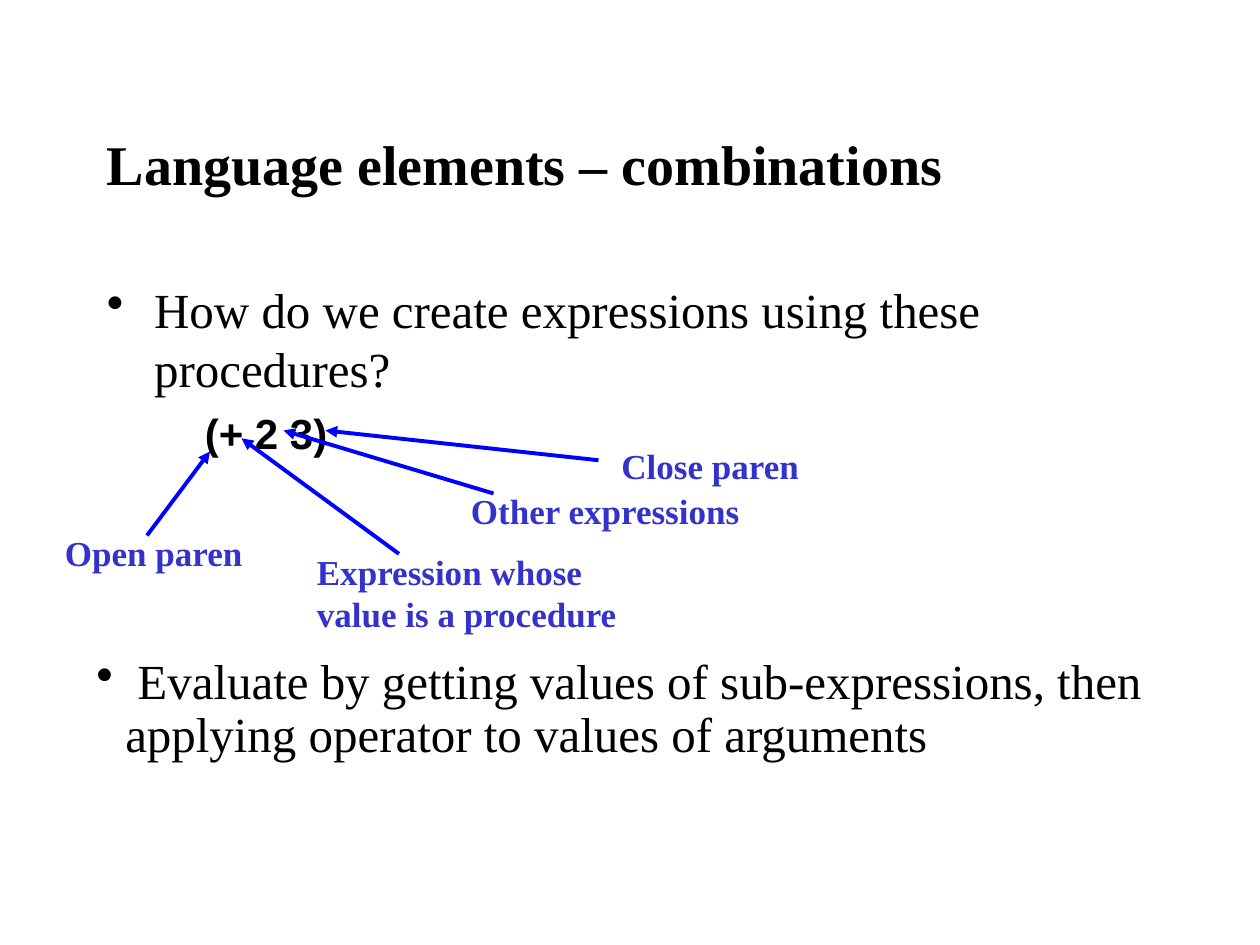
from typing import NamedTuple, Optional

from lxml import etree
from pptx import Presentation
from pptx.dml.color import RGBColor
from pptx.enum import shapes, text
from pptx.oxml import ns
from pptx.util import Pt

SERIF, SANS = "Times New Roman", "Arial"
BLACK, LABEL_BLUE, ARROW_BLUE = "000000", "3333CC", "0000FF"


class Box(NamedTuple):
    left: float
    top: float
    width: float
    height: float


class Style(NamedTuple):
    size: float
    font: str = SERIF
    color: str = BLACK
    bold: bool = False


class Line(NamedTuple):
    wording: str
    style: Style
    margin: float = 0
    indent: float = 0
    bullet: Optional[str] = None
    level: int = 0
    space_before: float = 0
    spacing: Optional[float] = None


class Callout(NamedTuple):
    wording: str
    box: Box
    start: tuple[float, float]
    tip: tuple[float, float]


TITLE = Style(32, bold=True)
BODY = Style(28)
CODE = Style(24, font=SANS, bold=True)
LABEL = Style(20, color=LABEL_BLUE, bold=True)

CALLOUTS = [
    Callout("Open paren", Box(30, 300, 132, 31.5), (84, 306), (120, 258)),
    Callout("Expression whose value is a procedure", Box(174, 311, 198, 55.5),
            (228, 316.5), (138, 250.5)),
    Callout("Other expressions", Box(262, 276, 182, 31.5), (282, 282), (162, 246)),
    Callout("Close paren", Box(348, 250.5, 222, 31.5), (342, 263), (186, 246)),
]


def rgb(color: str) -> RGBColor:
    return RGBColor.from_string(color)


def format_line(paragraph, line: Line) -> None:
    paragraph.text = line.wording
    paragraph.level = line.level
    paragraph.space_before = Pt(line.space_before)
    if line.spacing:
        paragraph.line_spacing = line.spacing
    properties = paragraph._p.get_or_add_pPr()
    properties.set("marL", str(Pt(line.margin)))
    properties.set("indent", str(Pt(line.indent)))
    if line.bullet:
        etree.SubElement(properties, ns.qn("a:buChar"), char=line.bullet)
    font = paragraph.font
    font.name, font.size, font.bold = line.style.font, Pt(line.style.size), line.style.bold
    font.color.rgb = rgb(line.style.color)


def add_text(slide, box: Box, lines: list[Line],
             anchor: text.MSO_ANCHOR = text.MSO_ANCHOR.TOP) -> None:
    frame = slide.shapes.add_textbox(*map(Pt, box)).text_frame
    frame.word_wrap = True
    frame.vertical_anchor = anchor
    for number, line in enumerate(lines):
        format_line(frame.add_paragraph() if number else frame.paragraphs[0], line)


def add_arrow(slide, start: tuple[float, float], tip: tuple[float, float]) -> None:
    arrow = slide.shapes.add_connector(shapes.MSO_CONNECTOR.STRAIGHT,
                                       *map(Pt, start + tip))
    arrow.line.color.rgb = rgb(ARROW_BLUE)
    arrow.line.width = Pt(2.25)
    etree.SubElement(arrow.line._get_or_add_ln(), ns.qn("a:tailEnd"), type="triangle")
    etree.SubElement(arrow._element.spPr, ns.qn("a:effectLst"))


def main() -> None:
    presentation = Presentation()
    presentation.slide_width, presentation.slide_height = Pt(720), Pt(540)
    slide = presentation.slides.add_slide(presentation.slide_layouts[6])

    add_text(slide, Box(54, 48, 612, 90),
             [Line("Language elements – combinations", TITLE)], text.MSO_ANCHOR.MIDDLE)
    add_text(slide, Box(54, 156, 612, 132), [
        Line("How do we create expressions using these procedures?", BODY,
             margin=27, indent=-27, bullet="•"),
        Line("   (+ 2 3)", CODE, margin=58.5, indent=-22.5, level=1, space_before=6),
    ])
    for callout in CALLOUTS:
        add_text(slide, callout.box, [Line(callout.wording, LABEL)])
        add_arrow(slide, callout.start, callout.tip)
    add_text(slide, Box(48, 372, 672, 67.5), [
        Line(" Evaluate by getting values of sub-expressions, then applying operator "
             "to values of arguments", BODY, margin=16.5, indent=-16.5, bullet="•",
             spacing=0.9),
    ])
    presentation.save("out.pptx")


if __name__ == "__main__":
    main()
